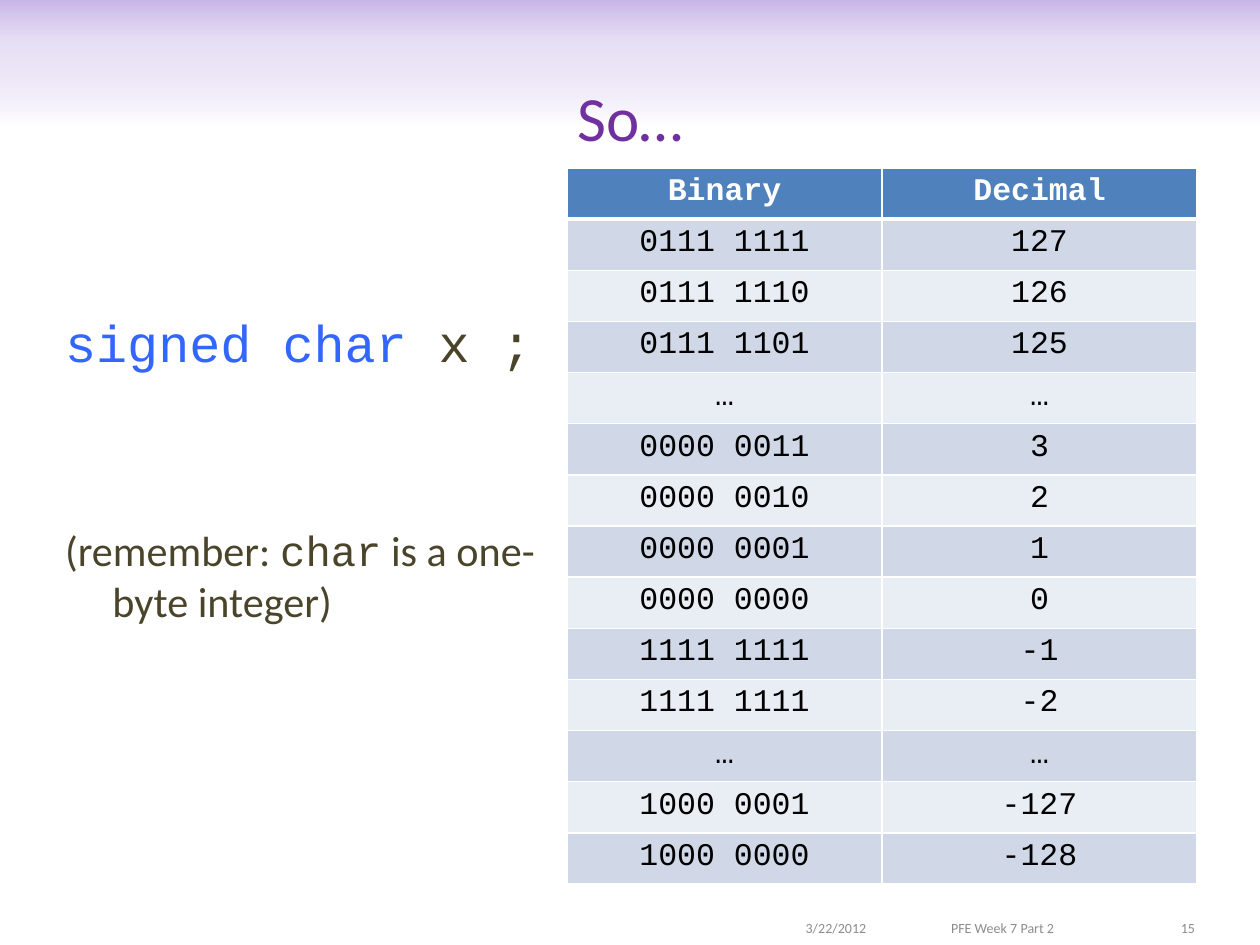
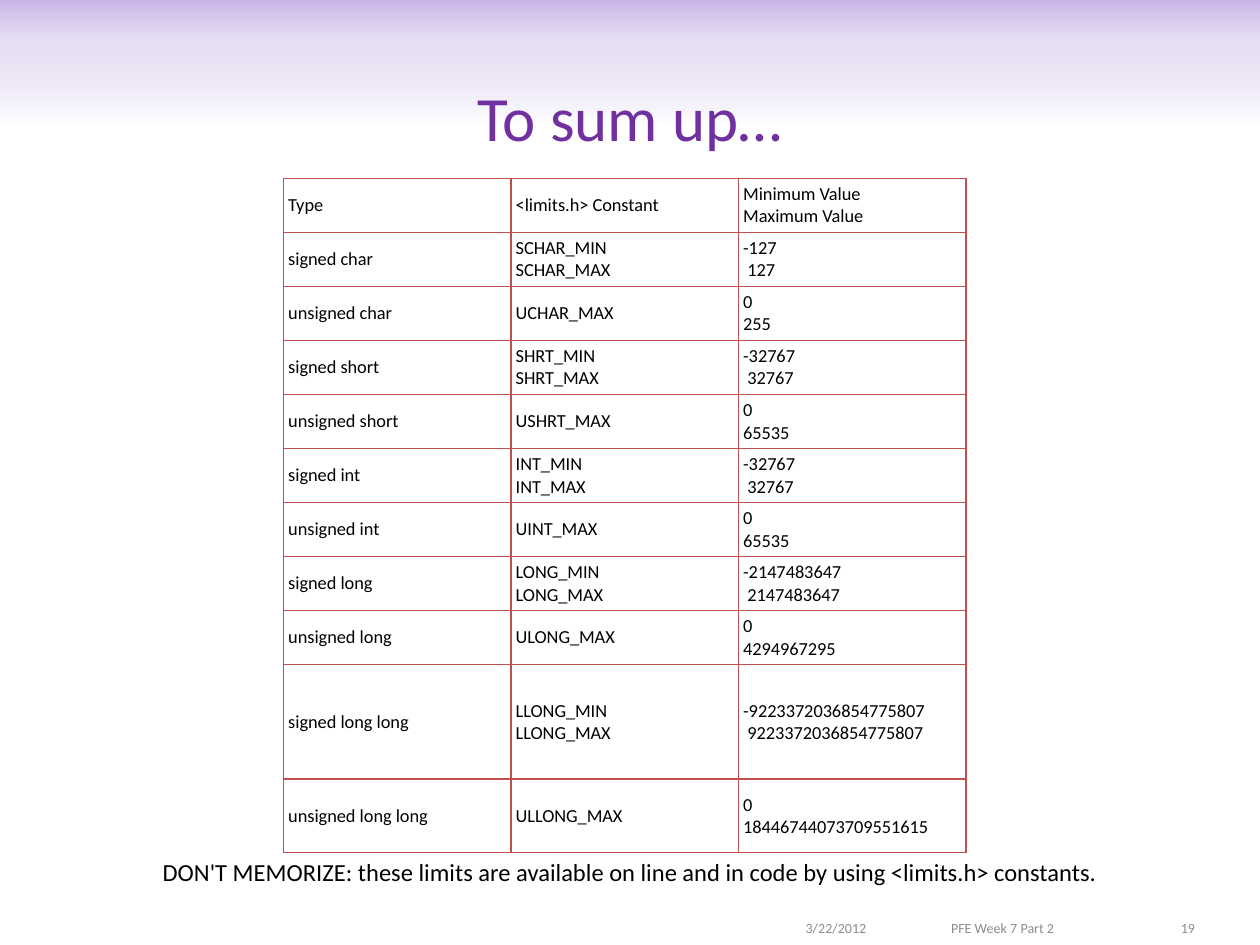
"""Build two slides on the ranges of C integer types."""
from dataclasses import dataclass
from typing import NamedTuple

from lxml import etree
from pptx import Presentation
from pptx.dml.color import RGBColor
from pptx.enum.shapes import MSO_SHAPE
from pptx.enum.text import MSO_ANCHOR, MSO_AUTO_SIZE, PP_ALIGN
from pptx.oxml.ns import qn
from pptx.util import Inches, Pt

LEFT, CENTER, RIGHT = PP_ALIGN.LEFT, PP_ALIGN.CENTER, PP_ALIGN.RIGHT
TOP, MIDDLE = MSO_ANCHOR.TOP, MSO_ANCHOR.MIDDLE
NO_FIT, GROW = MSO_AUTO_SIZE.NONE, MSO_AUTO_SIZE.SHAPE_TO_FIT_TEXT
RECTANGLE = MSO_SHAPE.RECTANGLE

WIDTH, HEIGHT = Inches(10), Inches(7.5)
GRID_COLUMNS = 120
UNIT = WIDTH / GRID_COLUMNS
SANS, MONO = "Calibri", "Courier New"
BLACK, WHITE, PURPLE, OLIVE = "000000", "FFFFFF", "7030A0", "4A452A"
KEYWORD_BLUE, HEADER_BLUE, RULE_RED, FOOTER_GRAY = "3366FF", "4F81BD", "C0504D", "8C8C8C"
ROW_BANDS = ("D0D8E8", "E9EDF4")
BAND_STOPS = ((0, "C9B5E8", 100), (35, "D8CBEE", 59), (100, WHITE, 100))
LINE_SPACE = 12.8
NBSP = " "


class Area(NamedTuple):
    """A place given in grid columns and rows."""

    left: float
    top: float
    width: float
    height: float

    def emu(self) -> list[int]:
        """Return the four lengths in slide units."""
        return [round(length * UNIT) for length in self]


@dataclass(frozen=True)
class Style:
    """The look of one run."""

    size: float
    font: str = SANS
    color: str = BLACK
    bold: bool = False


@dataclass(frozen=True)
class TableLook:
    """What the cells of one table have in common."""

    head: Style
    body: Style
    align: PP_ALIGN
    anchor: MSO_ANCHOR
    rule: str
    head_rule: float
    head_fill: str | None = None
    bands: tuple[str, ...] = ()
    inset: float | None = None


@dataclass(frozen=True)
class FooterPart:
    """One text in the footer line."""

    left: float
    width: float
    text: str


TITLE_AREA = Area(6, 3.6, 108, 15)
BODY_AREA = Area(5, 29, 50, 36)
BINARY_AREA = Area(54, 16, 60, 68.2)
LIMITS_AREA = Area(27, 17, 65, 63.6)
ADVICE_AREA = Area(4, 81, 112, 4.1)
FOOTER_TOP, FOOTER_HEIGHT = 86.75, 3.25

TITLE_STYLE = Style(36, color=PURPLE)
FOOTER_STYLE = Style(8, color=FOOTER_GRAY)
REMARK_STYLE = Style(24.1, color=OLIVE)
BINARY_LOOK = TableLook(
    Style(18, MONO, WHITE, True), Style(18, MONO), CENTER, TOP, WHITE, 3,
    HEADER_BLUE, ROW_BANDS)
LIMITS_LOOK = TableLook(
    Style(10.5), Style(10.5), LEFT, MIDDLE, RULE_RED, 1, inset=2.7)

DECLARATION = (
    ("signed char ", Style(29.6, MONO, KEYWORD_BLUE)),
    ("x ;", Style(29.6, MONO, OLIVE)),
)
REMARK = (
    ("(remember: ", REMARK_STYLE),
    ("char", Style(24.1, MONO, OLIVE)),
    (" is a one-byte integer)", REMARK_STYLE),
)
BINARY_ROWS = [
    ("Binary", "Decimal"),
    ("0111 1111", "127"),
    ("0111 1110", "126"),
    ("0111 1101", "125"),
    ("…", "…"),
    ("0000 0011", "3"),
    ("0000 0010", "2"),
    ("0000 0001", "1"),
    ("0000 0000", "0"),
    ("1111 1111", "-1"),
    ("1111 1111", "-2"),
    ("…", "…"),
    ("1000 0001", "-127"),
    ("1000 0000", "-128"),
]
INTEGER_TYPES = [
    ("char", "SCHAR", "UCHAR", "127", "255"),
    ("short", "SHRT", "USHRT", "32767", "65535"),
    ("int", "INT", "UINT", "32767", "65535"),
    ("long", "LONG", "ULONG", "2147483647", "4294967295"),
    ("long long", "LLONG", "ULLONG", "9223372036854775807", "18446744073709551615"),
]
LIMITS_HEADER = ("Type", "<limits.h> Constant", "Minimum Value\nMaximum Value")
ADVICE = ("DON'T MEMORIZE: these limits are available on line and in code "
          "by using <limits.h> constants.")


def rgb(color: str) -> RGBColor:
    """Turn a hex string into a colour."""
    return RGBColor.from_string(color)


def add_run(paragraph, text: str, style: Style) -> None:
    """Add one styled run."""
    run = paragraph.add_run()
    run.text = text
    run.font.size, run.font.name = Pt(style.size), style.font
    run.font.bold, run.font.color.rgb = style.bold, rgb(style.color)


def add_lines(paragraph, text: str, style: Style, align: PP_ALIGN) -> None:
    """Write lines into a paragraph, with a gap for an absent first line."""
    paragraph.alignment = align
    first, *rest = text.split("\n")
    if first:
        add_run(paragraph, first, style)
    else:
        paragraph.space_before = Pt(LINE_SPACE)
    for number, line in enumerate(rest):
        if first or number:
            paragraph.add_line_break()
        add_run(paragraph, line, style)


def solid_fill(parent, color: str, opacity: int = 100) -> None:
    """Append a colour with its opacity to an XML element."""
    value = etree.SubElement(parent, qn("a:srgbClr"), val=color)
    if opacity < 100:
        etree.SubElement(value, qn("a:alpha"), val=str(opacity * 1000))


def add_master_band(deck, slide) -> None:
    """Put the fading band at the back of the slide master."""
    band = slide.shapes.add_shape(RECTANGLE, 0, 0, WIDTH, round(12 * UNIT))
    band.shadow.inherit = False
    band.line.fill.background()
    band.fill.gradient()
    gradient = band.element.spPr.find(qn("a:gradFill"))
    for child in list(gradient):
        gradient.remove(child)
    stops = etree.SubElement(gradient, qn("a:gsLst"))
    for position, color, opacity in BAND_STOPS:
        stop = etree.SubElement(stops, qn("a:gs"), pos=str(position * 1000))
        solid_fill(stop, color, opacity)
    etree.SubElement(gradient, qn("a:lin"), ang=str(90 * 60000), scaled="0")
    deck.slide_master.shapes.element.insert(2, band.element)


def place(shape, area: Area) -> None:
    """Move a shape to its area."""
    shape.left, shape.top, shape.width, shape.height = area.emu()


def add_text(slide, area: Area, text: str, style: Style, align: PP_ALIGN,
             anchor: MSO_ANCHOR = MIDDLE, fit: MSO_AUTO_SIZE = NO_FIT) -> None:
    """Add a wrapped text box."""
    frame = slide.shapes.add_textbox(*area.emu()).text_frame
    frame.word_wrap, frame.auto_size, frame.vertical_anchor = True, fit, anchor
    add_lines(frame.paragraphs[0], text, style, align)


def add_slide(deck, layout: int, title: str, number: int):
    """Add a slide with its title and footer."""
    slide = deck.slides.add_slide(deck.slide_layouts[layout])
    heading = slide.shapes.title
    place(heading, TITLE_AREA)
    heading.text_frame.vertical_anchor = MIDDLE
    heading.text_frame.auto_size = NO_FIT
    add_lines(heading.text_frame.paragraphs[0], title, TITLE_STYLE, CENTER)
    for part in (FooterPart(70.7, 13, "3/22/2012"),
                 FooterPart(84, 17.6, "PFE Week 7 Part 2"),
                 FooterPart(102, 13, str(number))):
        area = Area(part.left, FOOTER_TOP, part.width, FOOTER_HEIGHT)
        add_text(slide, area, part.text, FOOTER_STYLE, RIGHT)
    return slide


def set_borders(cell, color: str, top: float, bottom: float) -> None:
    """Rule the four sides of a cell."""
    properties = cell._tc.get_or_add_tcPr()
    sides = (("L", 1), ("R", 1), ("T", top), ("B", bottom))
    for order, (side, width) in enumerate(sides):
        line = etree.Element(qn(f"a:ln{side}"), w=str(Pt(width)))
        solid_fill(etree.SubElement(line, qn("a:solidFill")), color)
        properties.insert(order, line)


def add_grid(slide, area: Area, rows: list[tuple[str, ...]],
             heights: list[float], look: TableLook) -> None:
    """Add a table with equal columns."""
    table = slide.shapes.add_table(len(rows), len(rows[0]), *area.emu()).table
    table.first_row = table.horz_banding = False
    for column in table.columns:
        column.width = round(area.width / len(rows[0]) * UNIT)
    for row, texts in enumerate(rows):
        table.rows[row].height = round(heights[row] * UNIT)
        style = look.body if row else look.head
        fill = look.head_fill
        if row and look.bands:
            fill = look.bands[(row - 1) % len(look.bands)]
        for column, text in enumerate(texts):
            cell = table.cell(row, column)
            cell.vertical_anchor = look.anchor
            if look.inset is not None:
                cell.margin_left = cell.margin_right = Pt(look.inset)
                cell.margin_top = cell.margin_bottom = Pt(look.inset)
            if fill:
                cell.fill.solid()
                cell.fill.fore_color.rgb = rgb(fill)
            else:
                cell.fill.background()
            set_borders(cell, look.rule, look.head_rule if row == 1 else 1,
                        look.head_rule if row == 0 else 1)
            add_lines(cell.text_frame.paragraphs[0], text, style, look.align)


def add_declaration(slide) -> None:
    """Fill the body with the declaration and the remark."""
    body = slide.placeholders[1]
    place(body, BODY_AREA)
    frame = body.text_frame
    frame.auto_size = NO_FIT
    for number, (runs, gap) in enumerate(((DECLARATION, 6), (REMARK, 86.5))):
        paragraph = frame.add_paragraph() if number else frame.paragraphs[0]
        paragraph.space_before = Pt(gap)
        properties = paragraph._p.get_or_add_pPr()
        properties.set("marL", str(Pt(27)))
        properties.set("indent", str(-Pt(27)))
        etree.SubElement(properties, qn("a:buNone"))
        for text, style in runs:
            add_run(paragraph, text, style)


def limits_rows() -> list[tuple[str, ...]]:
    """Return the signed and unsigned limits of each type."""
    rows = [LIMITS_HEADER]
    for name, signed, unsigned, signed_max, unsigned_max in INTEGER_TYPES:
        rows.append((f"signed {name}", f"{signed}_MIN\n{signed}_MAX",
                     f"-{signed_max}\n{NBSP}{signed_max}"))
        rows.append((f"unsigned {name}", f"\n{unsigned}_MAX", f"0\n{unsigned_max}"))
    return rows


def main() -> None:
    """Build and save the slides."""
    deck = Presentation()
    deck.slide_width, deck.slide_height = WIDTH, HEIGHT

    signed_range = add_slide(deck, 1, "So…", 15)
    add_master_band(deck, signed_range)
    add_declaration(signed_range)
    row_count = len(BINARY_ROWS)
    add_grid(signed_range, BINARY_AREA, BINARY_ROWS,
             [BINARY_AREA.height / row_count] * row_count, BINARY_LOOK)

    summary = add_slide(deck, 5, "To sum up…", 19)
    add_grid(summary, LIMITS_AREA, limits_rows(), [5.1] * 9 + [10.9, 7], LIMITS_LOOK)
    add_text(summary, ADVICE_AREA, ADVICE, Style(14), CENTER, TOP, GROW)
    deck.save("out.pptx")


if __name__ == "__main__":
    main()
